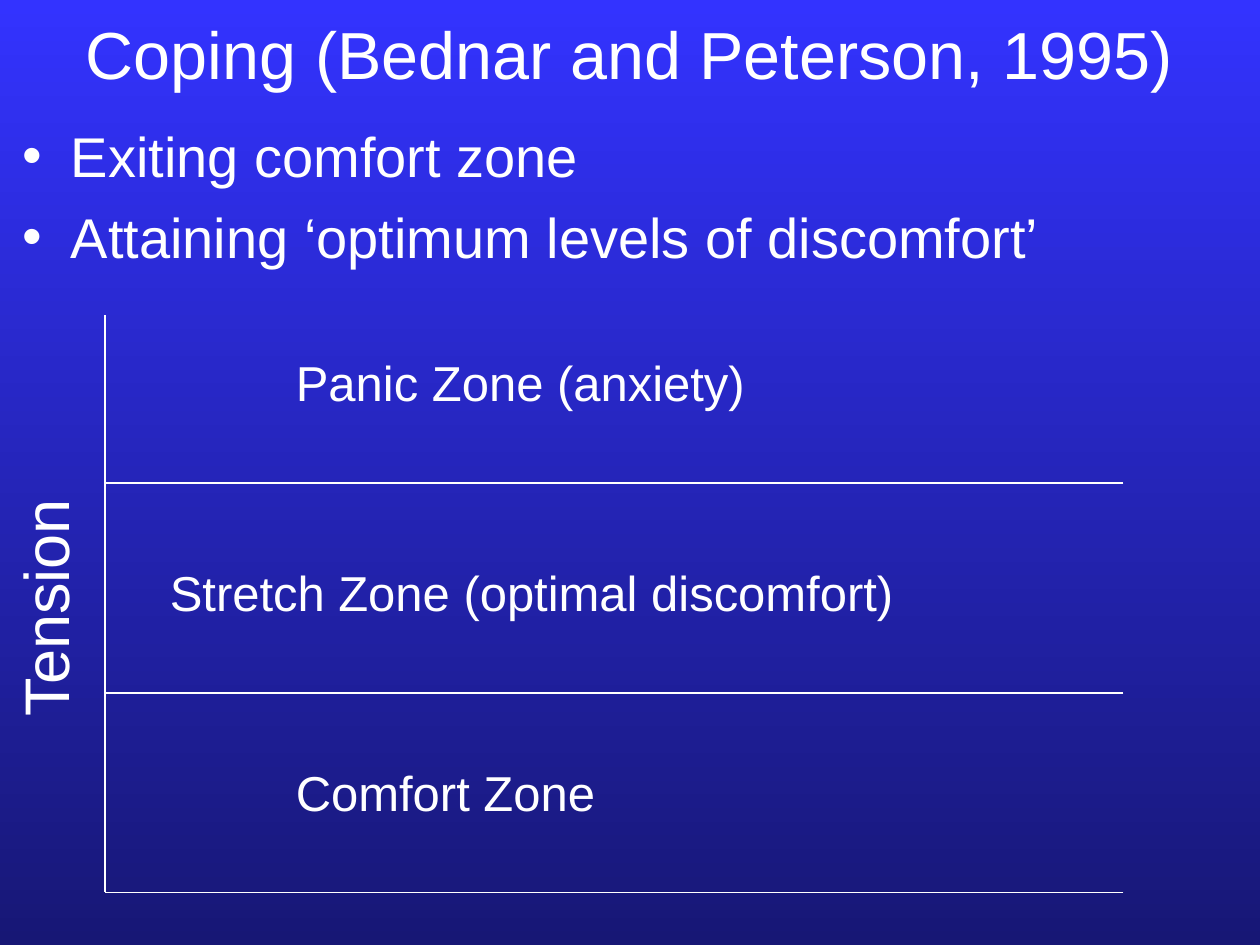
from lxml.etree import SubElement
from pptx import Presentation
from pptx.dml.color import RGBColor
from pptx.enum.shapes import MSO_CONNECTOR as CONNECTOR
from pptx.enum.text import MSO_ANCHOR as ANCHOR, PP_ALIGN as ALIGN
from pptx.oxml.ns import qn
from pptx.util import Inches, Pt

COLS, ROWS = 120, 90
WHITE = "FFFFFF"

deck = Presentation()
deck.slide_width, deck.slide_height = Inches(10), Inches(7.5)
col, row = deck.slide_width / COLS, deck.slide_height / ROWS
slide = deck.slides.add_slide(deck.slide_layouts[6])


def color(hex_string):
    return RGBColor.from_string(hex_string)


def add_text(lines, left, top, width, height, size, **paragraph_format):
    box = slide.shapes.add_textbox(
        round(left * col), round(top * row), round(width * col), round(height * row))
    frame = box.text_frame
    frame.word_wrap = True
    frame.text = "\n".join(lines)
    for paragraph in frame.paragraphs:
        for key, value in paragraph_format.items():
            setattr(paragraph, key, value)
        font = paragraph.runs[0].font
        font.name, font.size = "Arial", Pt(size)
        font.color.rgb = color(WHITE)
    return box


# Background: bright blue at the top, navy at the bottom
backdrop = slide.background.fill
backdrop.gradient()
backdrop.gradient_angle = 270
for stop, (position, shade) in zip(backdrop.gradient_stops, [(0, "3333FF"), (1, "171775")]):
    stop.position, stop.color.rgb = position, color(shade)

# Bullet points
points = add_text(["Exiting comfort zone", "Attaining ‘optimum levels of discomfort’"],
                  1, 11, 117, 19, 32, space_before=Pt(8))
for point in points.text_frame.paragraphs:
    properties = point._p.get_or_add_pPr()
    properties.set("marL", str(Inches(0.38)))
    properties.set("indent", str(-Inches(0.38)))
    SubElement(properties, qn("a:buFont"), typeface="Arial")
    SubElement(properties, qn("a:buChar"), char="•")

# Title
title = add_text(["Coping (Bednar and Peterson, 1995)"], 0, 1, COLS, 8, 38,
                 alignment=ALIGN.CENTER)
title.text_frame.vertical_anchor = ANCHOR.MIDDLE

# Tension axis and the floor of each zone
axis, right_end, axis_top = 10, 107, 30
zone_floors = [46, 66, 85]
chart_lines = [(axis, axis_top, axis, zone_floors[-1])]
chart_lines += [(right_end, floor, axis, floor) for floor in zone_floors]
for x1, y1, x2, y2 in chart_lines:
    rule = slide.shapes.add_connector(
        CONNECTOR.STRAIGHT, round(x1 * col), round(y1 * row), round(x2 * col), round(y2 * row))
    rule.line.width = Pt(1)
    rule.line.color.rgb = color(WHITE)
    SubElement(rule._element.spPr, qn("a:effectLst"))

# Axis and zone labels
tension = add_text(["Tension"], -10.5, 50.5, 29.4, 8.4, 36)
tension.rotation = 270
for zone, left, top, width in [("Panic Zone (anxiety)", 27, 33, 70),
                               ("Stretch Zone (optimal discomfort)", 15, 53, 77),
                               ("Comfort Zone", 27, 72, 41)]:
    add_text([zone], left, top, width, 6.8, 28)

deck.save("out.pptx")
